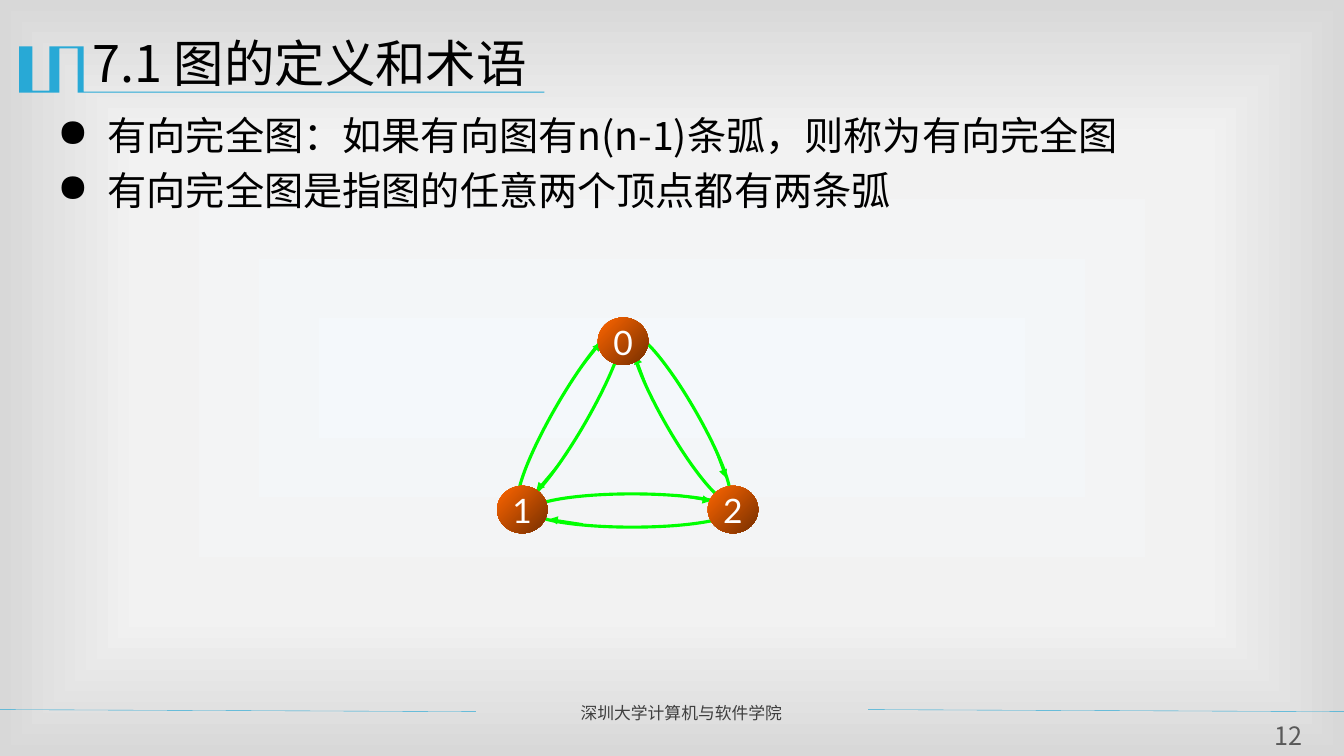
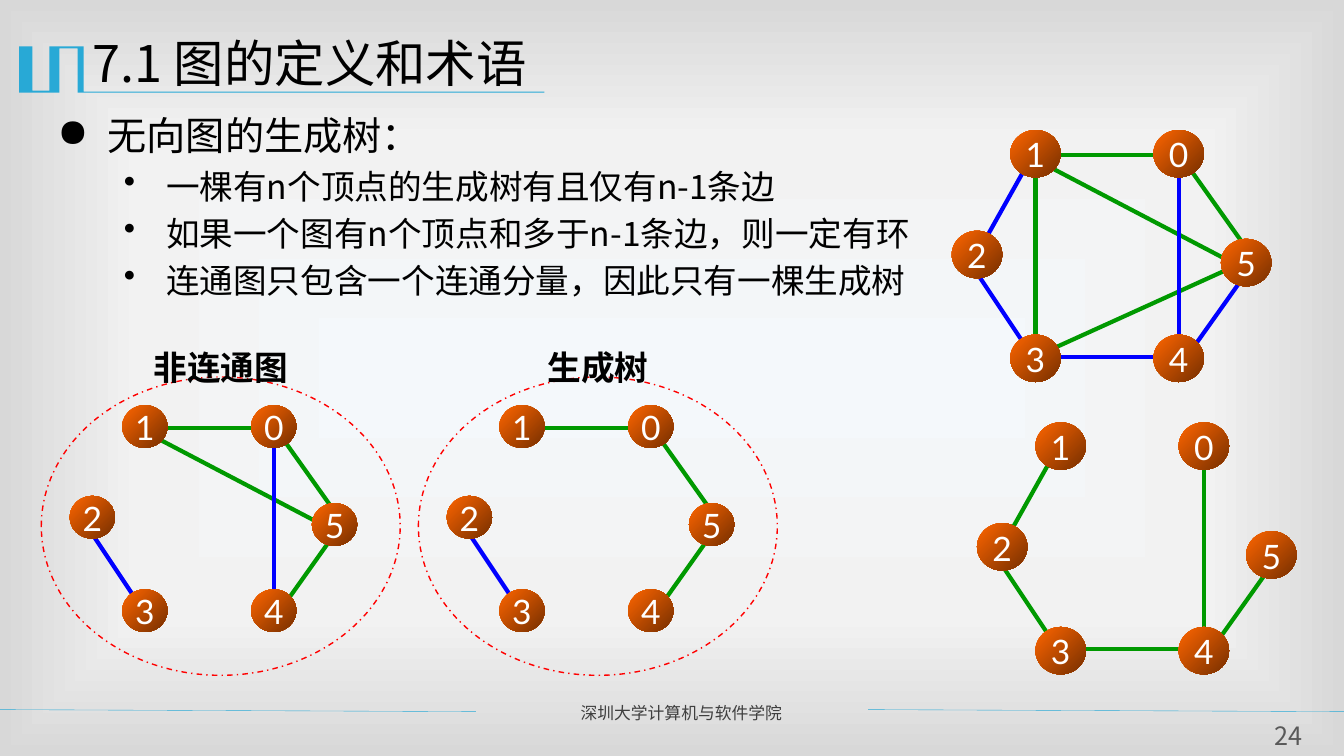
from dataclasses import dataclass

from lxml import etree
from pptx import Presentation
from pptx.dml.color import RGBColor
from pptx.enum.dml import MSO_LINE
from pptx.enum.shapes import MSO_CONNECTOR, MSO_SHAPE
from pptx.enum.text import MSO_ANCHOR, PP_ALIGN
from pptx.oxml import parse_xml
from pptx.oxml.ns import nsdecls, qn
from pptx.util import Inches, Pt

STRAIGHT = MSO_CONNECTOR.STRAIGHT
OVAL = MSO_SHAPE.OVAL
DASH_DOT = MSO_LINE.DASH_DOT
MIDDLE = MSO_ANCHOR.MIDDLE
LEFT, CENTER, JUSTIFY = PP_ALIGN.LEFT, PP_ALIGN.CENTER, PP_ALIGN.JUSTIFY


@dataclass(frozen=True)
class Theme:
    accent: str = "28A9D6"
    text: str = "000000"
    footer: str = "3F3F3F"
    number: str = "595959"
    node_text: str = "FFFFFF"
    node_light: str = "FF6600"
    node_dark: str = "762F00"
    arc: str = "00FF00"
    green: str = "009900"
    blue: str = "0000FF"
    red: str = "FF0000"
    backdrop: tuple = ((0, "F4F8FB"), (63, "F2F2F2"), (100, "D8D8D8"))
    font: str = "Noto Sans CJK SC"
    label_font: str = "Lato"
    title_size: int = 36
    body_size: int = 28
    detail_size: int = 24
    label_size: int = 24
    number_size: int = 18
    footer_size: int = 12
    line_height: float = 1.25
    paragraph_gap: float = 0.15


theme = Theme()


def write(paragraph, text, size, color, font=theme.font, align=LEFT, bold=False,
          margin=0, indent=0, bullet=None):
    paragraph.text = text
    properties = paragraph._p.get_or_add_pPr()
    properties.set("marL", str(Inches(margin)))
    properties.set("indent", str(Inches(indent)))
    if bullet:
        etree.SubElement(properties, qn("a:buChar")).set("char", bullet)
    paragraph.alignment = align
    paragraph.line_spacing = Pt(size * theme.line_height)
    paragraph.font.size = Pt(size)
    paragraph.font.bold = bold
    paragraph.font.color.rgb = RGBColor.from_string(color)
    paragraph.font.name = font
    defaults = properties.find(qn("a:defRPr"))
    etree.SubElement(defaults, qn("a:ea")).set("typeface", theme.font)


def add_line(slide, start, end, color, width, arrow=False):
    line = slide.shapes.add_connector(STRAIGHT, *map(Inches, (*start, *end)))
    line.line.color.rgb = RGBColor.from_string(color)
    line.line.width = Pt(width)
    if arrow:
        outline = line.line._get_or_add_ln()
        etree.SubElement(outline, qn("a:tailEnd")).set("type", "triangle")
    etree.SubElement(line._element.spPr, qn("a:effectLst"))


presentation = Presentation()
presentation.slide_width = Inches(13.33)
presentation.slide_height = Inches(7.5)

background = presentation.slide_master.background
background.fill.solid()
solid = background._cSld.find(".//" + qn("a:solidFill"))
stops = "".join(
    f'<a:gs pos="{position * 1000}"><a:srgbClr val="{color}"/></a:gs>'
    for position, color in theme.backdrop
)
solid.getparent().replace(solid, parse_xml(
    f'<a:gradFill {nsdecls("a")} rotWithShape="1"><a:gsLst>{stops}</a:gsLst>'
    '<a:path path="rect"><a:fillToRect l="50000" t="50000" r="50000" b="50000"/>'
    '</a:path></a:gradFill>'
))

title = "7.1 图的定义和术语"
school = "深圳大学计算机与软件学院"
title_mark = [
    (0.82, 0.46), (0.83, 0.46), (0.83, 0.91), (5.4, 0.91), (5.4, 0.92),
    (0.77, 0.92), (0.77, 0.48), (0.59, 0.48), (0.59, 0.92), (0.19, 0.92),
    (0.19, 0.46), (0.32, 0.46), (0.32, 0.9), (0.49, 0.9), (0.49, 0.46),
]
bullet_levels = [
    dict(size=theme.body_size, margin=0.5, indent=-0.5, bullet="●"),
    dict(size=theme.detail_size, margin=1.08, indent=-0.42, bullet="•"),
]

arcs = [
    (5.27, 4.9, 2, 0.33, 0),
    (4.66, 3.95, 2, 0.33, 300),
    (5.82, 3.99, 1.87, 0.32, 60),
]
arrows = [
    ((6.71, 4.91), (7.05, 4.97)), ((5.78, 5.2), (5.45, 5.15)),
    ((5.75, 3.66), (5.96, 3.4)), ((5.54, 4.61), (5.32, 4.87)),
    ((7.09, 4.44), (7.2, 4.74)), ((6.41, 3.83), (6.3, 3.53)),
]
triangle_nodes = {"1": (0, 1.67), "2": (2.09, 1.67), "0": (1, 0)}
hexagon_nodes = {
    "1": (0.58, 0), "3": (0.58, 2.03), "2": (0, 1),
    "5": (2.67, 1.08), "4": (2, 2.03), "0": (2, 0),
}
hexagon_edges = {
    "01": ((2.08, 0.25), (1.08, 0.25)),
    "04": ((2.25, 0.42), (2.25, 2.09)),
    "05": ((2.33, 0.34), (2.92, 1.17)),
    "12": ((0.75, 0.34), (0.33, 1.09)),
    "13": ((0.83, 2.17), (0.83, 0.42)),
    "15": ((2.83, 1.34), (0.92, 0.34)),
    "23": ((0.75, 2.17), (0.25, 1.42)),
    "34": ((2.17, 2.25), (0.92, 2.25)),
    "35": ((2.83, 1.34), (1, 2.17)),
    "45": ((2.92, 1.42), (2.33, 2.25)),
}

pages = [
    dict(
        number="12",
        bullets=[
            (0, "有向完全图：如果有向图有n(n-1)条弧，则称为有向完全图"),
            (0, "有向完全图是指图的任意两个顶点都有两条弧"),
        ],
        arcs=arcs,
        arrows=arrows,
        graphs=[dict(origin=(4.93, 3.15), nodes=triangle_nodes)],
    ),
    dict(
        number="24",
        bullets=[
            (0, "无向图的生成树："),
            (1, "一棵有n个顶点的生成树有且仅有n-1条边"),
            (1, "如果一个图有n个顶点和多于n-1条边，则一定有环"),
            (1, "连通图只包含一个连通分量，因此只有一棵生成树"),
        ],
        arcs=[],
        arrows=[],
        graphs=[
            dict(origin=(9.44, 1.29), green="01 05 13 15 35", blue="04 12 23 34 45"),
            dict(origin=(9.69, 4.19), green="04 12 23 34 45"),
            dict(origin=(0.69, 4.02), scale=0.9, green="01 05 15 45", blue="04 23",
                 caption="非连通图"),
            dict(origin=(4.43, 4.02), scale=0.9, green="01 05 45", blue="23",
                 caption="生成树"),
        ],
    ),
]

for page in pages:
    slide = presentation.slides.add_slide(presentation.slide_layouts[6])
    shapes = slide.shapes

    points = [(Inches(x), Inches(y)) for x, y in title_mark]
    builder = shapes.build_freeform(*points[0])
    builder.add_line_segments(points[1:], close=True)
    mark = builder.convert_to_shape()
    mark.shadow.inherit = False
    mark.fill.solid()
    mark.fill.fore_color.rgb = RGBColor.from_string(theme.accent)
    mark.line.fill.background()

    for left, right in ((-0.01, 4.72), (8.61, 13.33)):
        add_line(slide, (left, 7.04), (right, 7.06), theme.accent, 0.25)

    footer = shapes.add_textbox(*map(Inches, (5.66, 6.91, 2.85, 0.3))).text_frame
    footer.word_wrap = True
    write(footer.paragraphs[0], school, theme.footer_size, theme.footer, align=JUSTIFY)

    body = shapes.add_textbox(*map(Inches, (0.47, 1.04, 12.13, 5.63))).text_frame
    body.word_wrap = True
    for index, (level, text) in enumerate(page["bullets"]):
        paragraph = body.add_paragraph() if index else body.paragraphs[0]
        style = bullet_levels[level]
        write(paragraph, text, color=theme.text, **style)
        if index:
            paragraph.space_before = Pt(style["size"] * theme.paragraph_gap)

    heading = shapes.add_textbox(*map(Inches, (0.82, 0.24, 12, 0.87))).text_frame
    heading.word_wrap = True
    write(heading.paragraphs[0], title, theme.title_size, theme.text,
          margin=1.33, indent=-1.33)

    number = shapes.add_textbox(*map(Inches, (12.48, 7.13, 0.59, 0.31))).text_frame
    number.word_wrap = True
    number.margin_left = number.margin_right = 0
    number.margin_top = number.margin_bottom = 0
    write(number.paragraphs[0], page["number"], theme.number_size, theme.number,
          align=CENTER)

    for *box, rotation in page["arcs"]:
        arc = shapes.add_shape(OVAL, *map(Inches, box))
        arc.rotation = rotation
        arc.shadow.inherit = False
        arc.fill.background()
        arc.line.color.rgb = RGBColor.from_string(theme.arc)
        arc.line.width = Pt(2.25)
    for start, end in page["arrows"]:
        add_line(slide, start, end, theme.arc, 1.5, arrow=True)

    for graph in page["graphs"]:
        left, top = graph["origin"]
        scale = graph.get("scale", 1)
        for color_name, color in (("green", theme.green), ("blue", theme.blue)):
            for edge in graph.get(color_name, "").split():
                start, end = [(left + x * scale, top + y * scale)
                              for x, y in hexagon_edges[edge]]
                add_line(slide, start, end, color, 3)

        for label, (x, y) in graph.get("nodes", hexagon_nodes).items():
            box = (left + x * scale, top + y * scale, 0.5 * scale, 0.47 * scale)
            node = shapes.add_shape(OVAL, *map(Inches, box))
            node.shadow.inherit = False
            node.fill.gradient()
            node.fill.gradient_angle = 315
            for stop, color in zip(node.fill.gradient_stops,
                                   (theme.node_light, theme.node_dark)):
                stop.color.rgb = RGBColor.from_string(color)
            node.line.fill.background()
            frame = node.text_frame
            frame.word_wrap = False
            frame.vertical_anchor = MIDDLE
            frame.margin_left = frame.margin_right = 0
            write(frame.paragraphs[0], label, theme.label_size, theme.node_text,
                  theme.label_font, CENTER)

        if "caption" in graph:
            ring = shapes.add_shape(
                OVAL, *map(Inches, (left - 0.28, top - 0.28, 3.56, 2.96)))
            ring.shadow.inherit = False
            ring.fill.background()
            ring.line.color.rgb = RGBColor.from_string(theme.red)
            ring.line.width = Pt(1)
            ring.line.dash_style = DASH_DOT
            caption = shapes.add_textbox(
                *map(Inches, (left + 0.07, top - 0.64, 2.86, 0.5))).text_frame
            caption.word_wrap = True
            write(caption.paragraphs[0], graph["caption"], theme.label_size,
                  theme.text, theme.label_font, CENTER, bold=True)

presentation.save("out.pptx")
